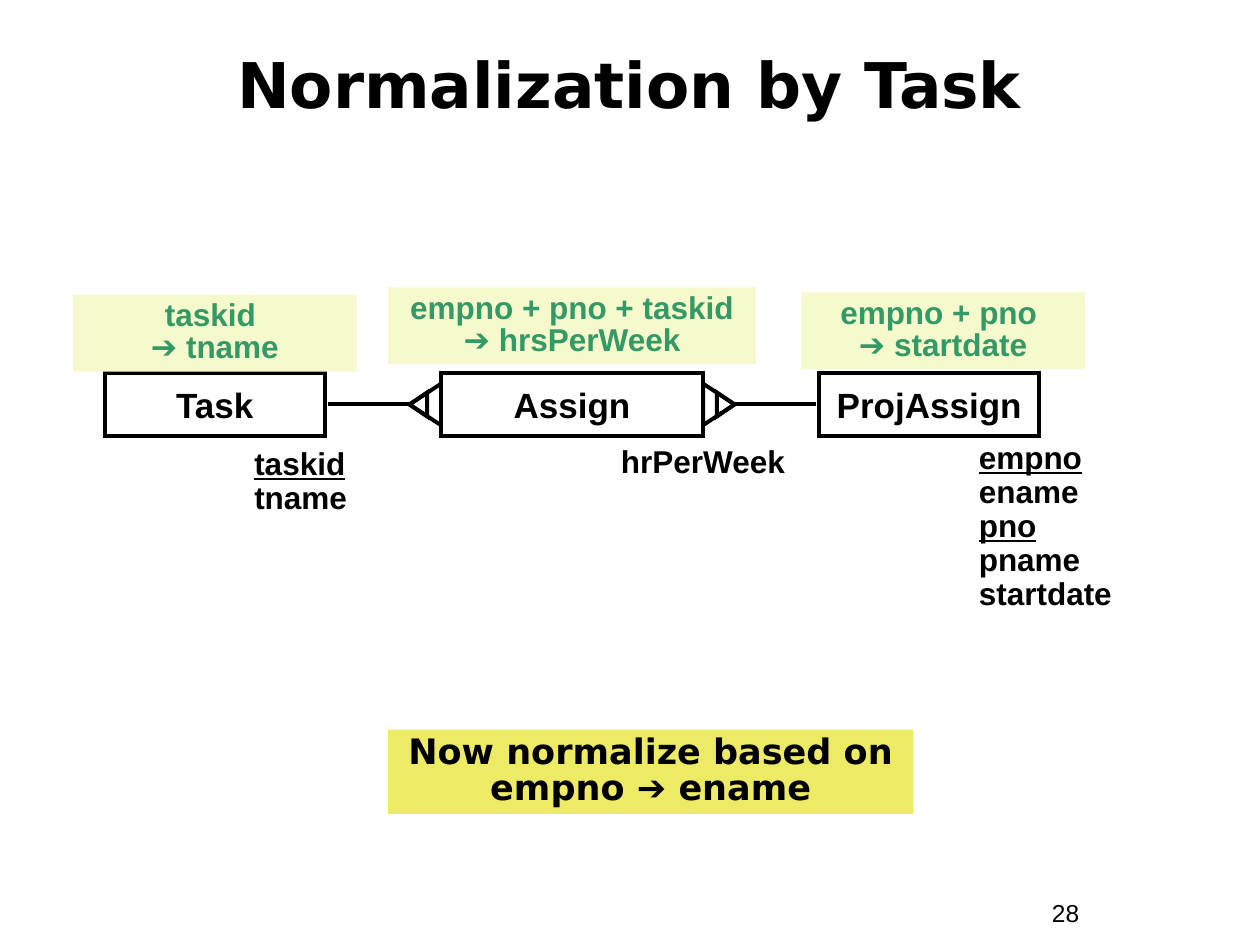
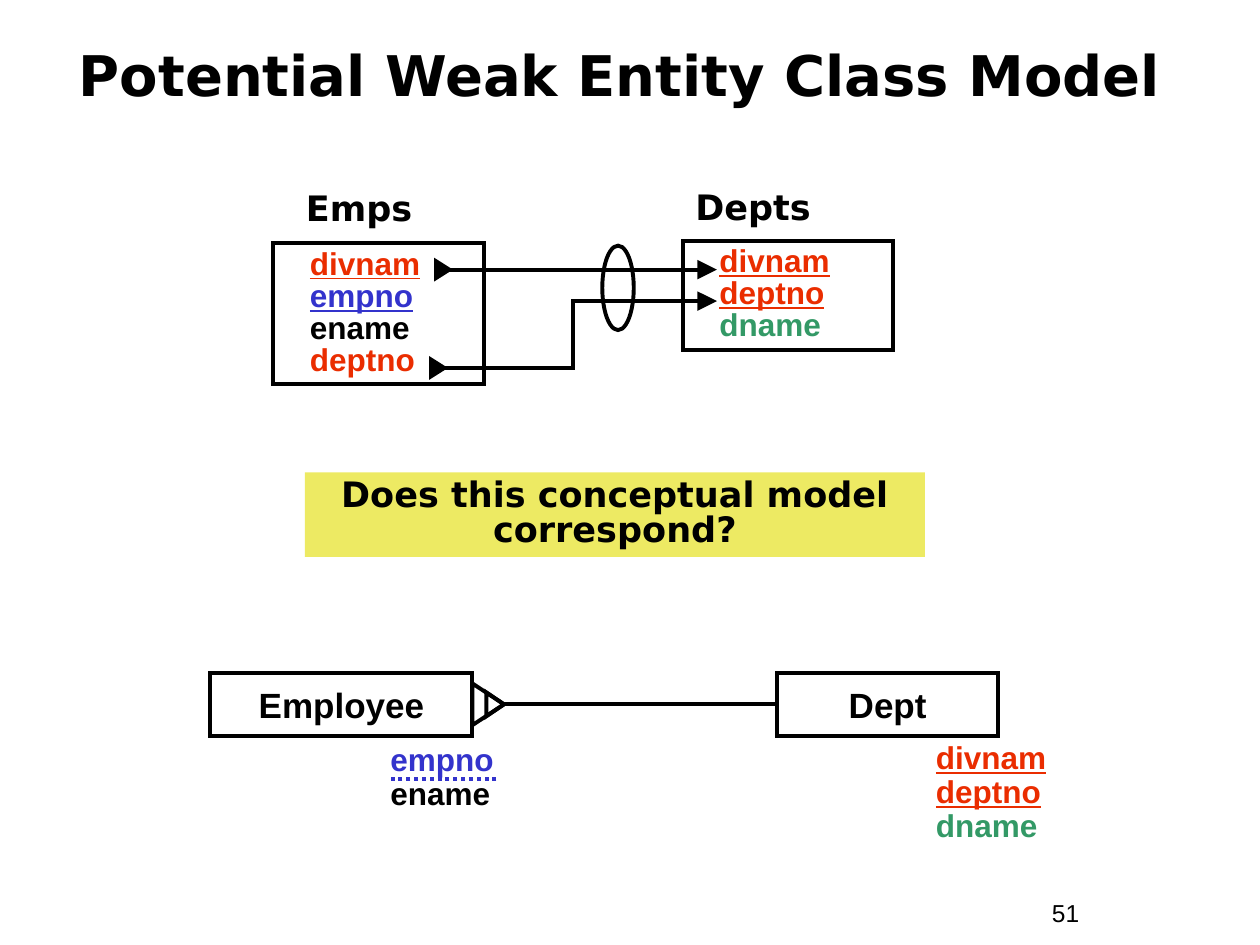
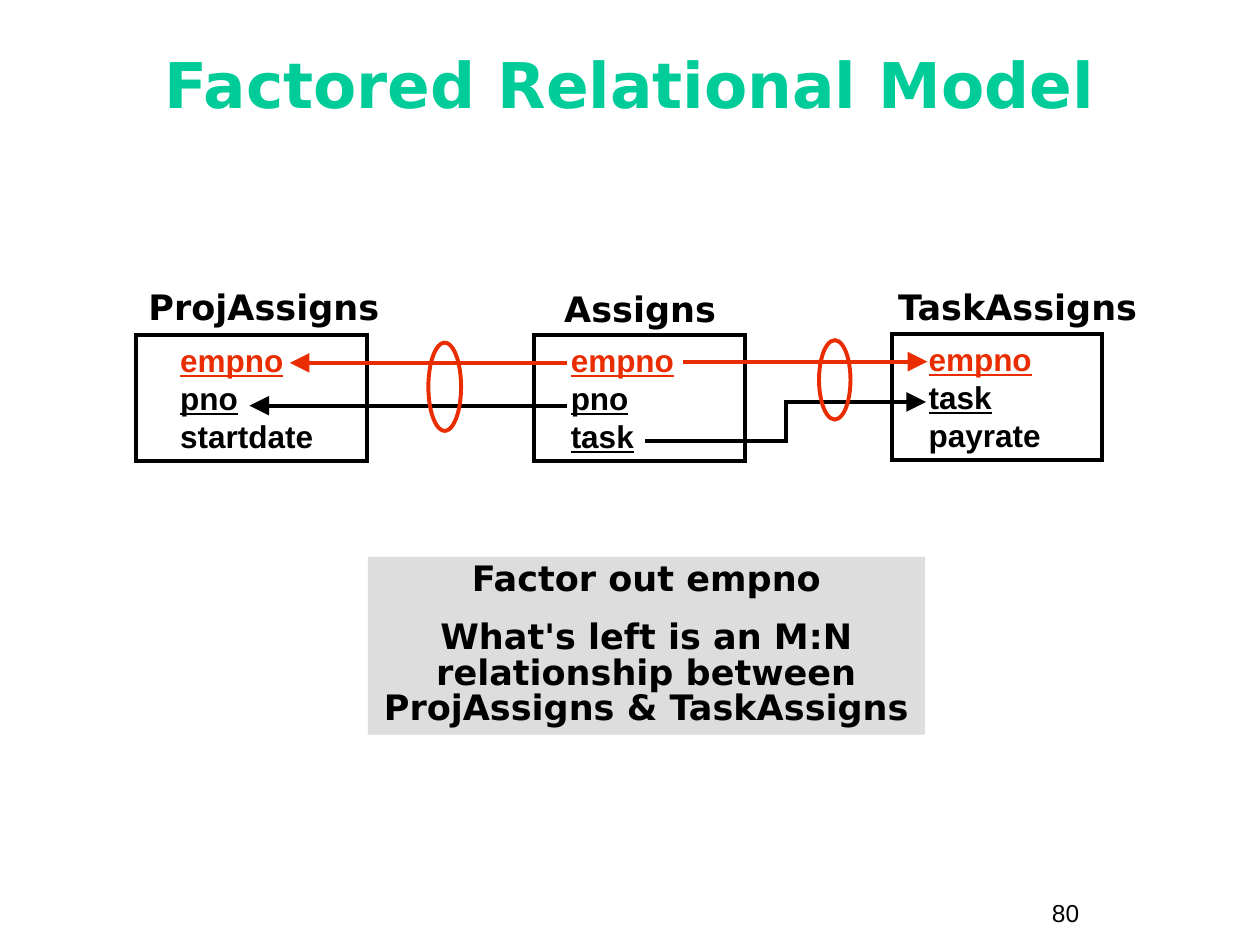
from dataclasses import dataclass
from typing import Optional

from lxml import etree
from pptx import Presentation
from pptx.dml.color import RGBColor
from pptx.enum.dml import MSO_LINE
from pptx.enum.shapes import MSO_CONNECTOR, MSO_SHAPE
from pptx.enum.text import MSO_ANCHOR, PP_ALIGN
from pptx.oxml.ns import qn
from pptx.util import Inches, Pt

LEFT, CENTER = PP_ALIGN.LEFT, PP_ALIGN.CENTER
TOP, MIDDLE = MSO_ANCHOR.TOP, MSO_ANCHOR.MIDDLE
RECTANGLE, OVAL = MSO_SHAPE.RECTANGLE, MSO_SHAPE.OVAL
TRIANGLE = MSO_SHAPE.ISOSCELES_TRIANGLE
STRAIGHT, ELBOW = MSO_CONNECTOR.STRAIGHT, MSO_CONNECTOR.ELBOW
DOTTED = MSO_LINE.ROUND_DOT

COLORS = {
    "black": "000000",
    "red": "EA2D00",
    "blue": "3333CC",
    "green": "339966",
    "mint": "00CC99",
    "yellow": "EDEA63",
    "cream": "F6F9CB",
    "grey": "DDDDDD",
}
BODY_FONT, HEADING_FONT = "Arial", "DejaVu Sans"
LINE_WIDTH = 2.24
FOOT_DEPTH, FOOT_BASE = 0.25, 0.33
INNER_DEPTH, INNER_BASE = 0.14, 0.19
ENTITY_HEIGHT = 0.5


@dataclass(frozen=True)
class TextStyle:
    font: str
    size: float
    bold: bool = True
    align: PP_ALIGN = LEFT
    spacing: float = 1.0
    before: float = 0


@dataclass(frozen=True)
class Box:
    left: float
    top: float
    width: float
    height: float


@dataclass(frozen=True)
class Line:
    text: str
    color: str = "black"
    underline: bool = False


@dataclass(frozen=True)
class Entity:
    name: str
    box: Box
    attributes: list[Line]
    attributes_box: Box


@dataclass(frozen=True)
class Relation:
    name: str
    name_box: Box
    box: Box
    columns: list[Line]
    spacing: float = 1.0
    indent: float = 0.19


@dataclass(frozen=True)
class Callout:
    box: Box
    lines: list[Line]
    fill: str


@dataclass(frozen=True)
class Link:
    start: tuple[float, float]
    end: tuple[float, float]
    color: str = "black"
    arrow: bool = True
    dotted: bool = False


PAGE_NUMBER = TextStyle(BODY_FONT, 14, bold=False, before=8.8)
ENTITY_NAME = TextStyle(BODY_FONT, 20, align=CENTER, before=12.5)
ATTRIBUTES = TextStyle(BODY_FONT, 18, spacing=0.9)
DEPENDENCY = TextStyle(BODY_FONT, 18, align=CENTER, spacing=0.85, before=11.2)
RELATION_NAME = TextStyle(HEADING_FONT, 20)
CALLOUT = TextStyle(HEADING_FONT, 20, align=CENTER, spacing=0.85, before=12.5)


def rgb(color: str) -> RGBColor:
    return RGBColor.from_string(COLORS[color])


def place(box: Box) -> list[int]:
    return [Inches(v) for v in (box.left, box.top, box.width, box.height)]


def write(shape, lines: list[Line], style: TextStyle, anchor=TOP,
          wrap: bool = True, indent: float = 0):
    frame = shape.text_frame
    frame.word_wrap = wrap
    frame.vertical_anchor = anchor
    frame.margin_left = Inches(0.1 + indent)
    for number, line in enumerate(lines):
        paragraph = frame.add_paragraph() if number else frame.paragraphs[0]
        paragraph.text = line.text
        paragraph.alignment = style.align
        paragraph.line_spacing = style.spacing
        paragraph.space_before = Pt(style.before)
        font = paragraph.font
        font.name, font.size, font.bold = style.font, Pt(style.size), style.bold
        font.underline = line.underline
        font.color.rgb = rgb(line.color)
    return frame


def add_text(slide, box: Box, lines: list[Line], style: TextStyle, anchor=TOP) -> None:
    write(slide.shapes.add_textbox(*place(box)), lines, style, anchor)


def draw_outline(shape, color: str, dotted: bool = False):
    shape.line.color.rgb = rgb(color)
    shape.line.width = Pt(LINE_WIDTH)
    if dotted:
        shape.line.dash_style = DOTTED
    outline = shape.element.spPr.find(qn("a:ln"))
    etree.SubElement(outline, qn("a:miter"), lim="800000")
    return outline


def add_figure(slide, kind, box: Box, fill: Optional[str] = None,
               outline: Optional[str] = None):
    figure = slide.shapes.add_shape(kind, *place(box))
    figure.shadow.inherit = False
    if fill:
        figure.fill.solid()
        figure.fill.fore_color.rgb = rgb(fill)
    else:
        figure.fill.background()
    if outline:
        draw_outline(figure, outline)
    else:
        figure.line.fill.background()
    return figure


def add_triangle(slide, center: tuple[float, float], base: float, depth: float,
                 rotation: int, fill: Optional[str] = None,
                 outline: Optional[str] = None) -> None:
    x, y = center
    box = Box(x - base / 2, y - depth / 2, base, depth)
    add_figure(slide, TRIANGLE, box, fill, outline).rotation = rotation


def add_crow_foot(slide, edge: float, y: float, direction: int) -> None:
    rotation = 90 if direction > 0 else 270
    tip = edge + direction * FOOT_DEPTH
    for base, depth in ((FOOT_BASE, FOOT_DEPTH), (INNER_BASE, INNER_DEPTH)):
        center = (tip - direction * depth / 2, y)
        add_triangle(slide, center, base, depth, rotation, outline="black")


def add_link(slide, link: Link) -> None:
    kind = STRAIGHT if link.start[1] == link.end[1] else ELBOW
    ends = [Inches(v) for v in (*link.start, *link.end)]
    connector = slide.shapes.add_connector(kind, *ends)
    outline = draw_outline(connector, link.color, link.dotted)
    if link.arrow:
        etree.SubElement(outline, qn("a:tailEnd"), type="triangle", w="lg", len="lg")
    etree.SubElement(connector.element.spPr, qn("a:effectLst"))


def add_entity(slide, entity: Entity) -> None:
    name_box = add_figure(slide, RECTANGLE, entity.box, outline="black")
    write(name_box, [Line(entity.name)], ENTITY_NAME, MIDDLE, wrap=False)
    add_text(slide, entity.attributes_box, entity.attributes, ATTRIBUTES)


def add_relation(slide, relation: Relation) -> None:
    add_text(slide, relation.name_box, [Line(relation.name)], RELATION_NAME)
    table = add_figure(slide, RECTANGLE, relation.box, outline="black")
    style = TextStyle(BODY_FONT, 18, spacing=relation.spacing)
    write(table, relation.columns, style, indent=relation.indent)


def add_callout(slide, callout: Callout, style: TextStyle = CALLOUT):
    panel = add_figure(slide, RECTANGLE, callout.box, fill=callout.fill)
    return write(panel, callout.lines, style)


def add_page(deck, title: str, number: int, color: str = "black", size: float = 36,
             title_box: Box = Box(0.33, 0.33, 9.33, 0.75)):
    slide = deck.slides.add_slide(deck.slide_layouts[6])
    add_text(slide, Box(8.25, 7.08, 0.92, 0.34), [Line(str(number))], PAGE_NUMBER)
    style = TextStyle(HEADING_FONT, size, align=CENTER, spacing=0.85)
    add_text(slide, title_box, [Line(title, color)], style, MIDDLE)
    return slide


def build_normalization(deck) -> None:
    slide = add_page(deck, "Normalization by Task", 28)
    top = 2.96
    middle = top + ENTITY_HEIGHT / 2
    entities = [
        Entity("ProjAssign", Box(6.5, top, 1.75, ENTITY_HEIGHT),
               [Line("empno", underline=True), Line("ename"),
                Line("pno", underline=True), Line("pname"), Line("startdate")],
               Box(7.67, 3.46, 1.42, 1.45)),
        Entity("Assign", Box(3.5, top, 2.08, ENTITY_HEIGHT),
               [Line("hrPerWeek")], Box(4.83, 3.49, 1.67, 0.37)),
        Entity("Task", Box(0.83, top, 1.75, ENTITY_HEIGHT),
               [Line("taskid", underline=True), Line("tname")],
               Box(1.92, 3.51, 1.67, 0.64)),
    ]
    for entity in entities:
        add_entity(slide, entity)
    dependencies = [
        ("empno + pno \v➔ startdate", Box(6.36, 2.32, 2.25, 0.61)),
        ("empno + pno + taskid\v➔ hrsPerWeek", Box(3.08, 2.28, 2.92, 0.61)),
        ("taskid \v➔ tname", Box(0.58, 2.34, 2.25, 0.61)),
    ]
    for text, box in dependencies:
        add_callout(slide, Callout(box, [Line(text, "green")], "cream"), DEPENDENCY)
    for start, end in ((6.48, 5.83), (2.6, 3.25)):
        add_link(slide, Link((start, middle), (end, middle), arrow=False))
    add_crow_foot(slide, 5.58, middle, 1)
    add_crow_foot(slide, 3.5, middle, -1)

    next_step = add_callout(slide, Callout(
        Box(3.08, 5.79, 4.17, 0.67),
        [Line("Now normalize based on\vempno ")], "yellow")).paragraphs[0]
    arrow = next_step.add_run()
    arrow.text = "➔"
    arrow.font.name = BODY_FONT
    next_step.add_run().text = " ename"


def build_weak_entity(deck) -> None:
    slide = add_page(deck, "Potential Weak Entity Class Model ", 51, size=32,
                     title_box=Box(0.25, 0.17, 9.5, 0.92))
    department_key = [Line("divnam", "red", True), Line("deptno", "red", True),
                      Line("dname", "green")]
    top = 5.34
    middle = top + ENTITY_HEIGHT / 2
    add_entity(slide, Entity("Dept", Box(6.17, top, 1.75, ENTITY_HEIGHT),
                             department_key, Box(7.33, 5.84, 1.42, 0.91)))
    add_entity(slide, Entity("Employee", Box(1.67, top, 2.08, ENTITY_HEIGHT),
                             [Line("empno", "blue"), Line("ename")],
                             Box(3, 5.86, 1.67, 0.64)))
    add_link(slide, Link((6.15, middle), (4, middle), arrow=False))
    add_link(slide, Link((3.94, 6.18), (3.08, 6.18), "blue", arrow=False, dotted=True))
    add_crow_foot(slide, 3.75, middle, 1)

    add_relation(slide, Relation("Depts", Box(5.42, 1.42, 1.67, 0.44),
                                 Box(5.42, 1.91, 1.67, 0.87), department_key, 0.85))
    add_relation(slide, Relation(
        "Emps", Box(2.33, 1.43, 1.5, 0.44), Box(2.17, 1.93, 1.67, 1.12),
        [Line("divnam", "red", True), Line("empno", "blue", True),
         Line("ename"), Line("deptno", "red")], 0.85))
    add_callout(slide, Callout(Box(2.42, 3.75, 4.92, 0.67),
                               [Line("Does this conceptual model correspond?")],
                               "yellow"))
    add_link(slide, Link((3.46, 2.14), (5.69, 2.14)))
    add_link(slide, Link((3.41, 2.92), (5.69, 2.39)))
    add_figure(slide, OVAL, Box(4.78, 1.95, 0.25, 0.67), outline="black")
    for center in ((3.48, 2.92), (3.52, 2.14)):
        add_triangle(slide, center, 0.19, 0.15, 90, fill="black")


def build_factored_model(deck) -> None:
    slide = add_page(deck, "Factored Relational Model", 80, color="mint")
    employee_key = Line("empno", "red", True)
    project_key = Line("pno", underline=True)
    task_key = Line("task", underline=True)
    relations = [
        Relation("Assigns", Box(4.38, 2.23, 1.5, 0.44), Box(4.24, 2.66, 1.67, 1),
                 [employee_key, project_key, task_key]),
        Relation("ProjAssigns", Box(1.08, 2.22, 2.2, 0.44), Box(1.08, 2.66, 1.83, 1),
                 [employee_key, project_key, Line("startdate")], indent=0.25),
        Relation("TaskAssigns", Box(7.03, 2.22, 2.2, 0.44), Box(7.08, 2.65, 1.67, 1),
                 [employee_key, task_key, Line("payrate")]),
    ]
    for relation in relations:
        add_relation(slide, relation)
    links = [
        Link((4.5, 2.88), (2.3, 2.88), "red"),
        Link((4.5, 3.22), (1.98, 3.22)),
        Link((5.42, 2.87), (7.36, 2.87), "red"),
        Link((5.12, 3.5), (7.35, 3.19)),
    ]
    for link in links:
        add_link(slide, link)
    for ring in (Box(3.4, 2.72, 0.26, 0.7), Box(6.5, 2.7, 0.25, 0.63)):
        add_figure(slide, OVAL, ring, outline="red")
    add_callout(slide, Callout(
        Box(2.92, 4.42, 4.42, 1.41),
        [Line("Factor out empno"),
         Line("What's left is an M:N relationship between ProjAssigns & TaskAssigns")],
        "grey"))


def main() -> None:
    deck = Presentation()
    deck.slide_width, deck.slide_height = Inches(10), Inches(7.5)
    build_normalization(deck)
    build_weak_entity(deck)
    build_factored_model(deck)
    deck.save("out.pptx")


main()
